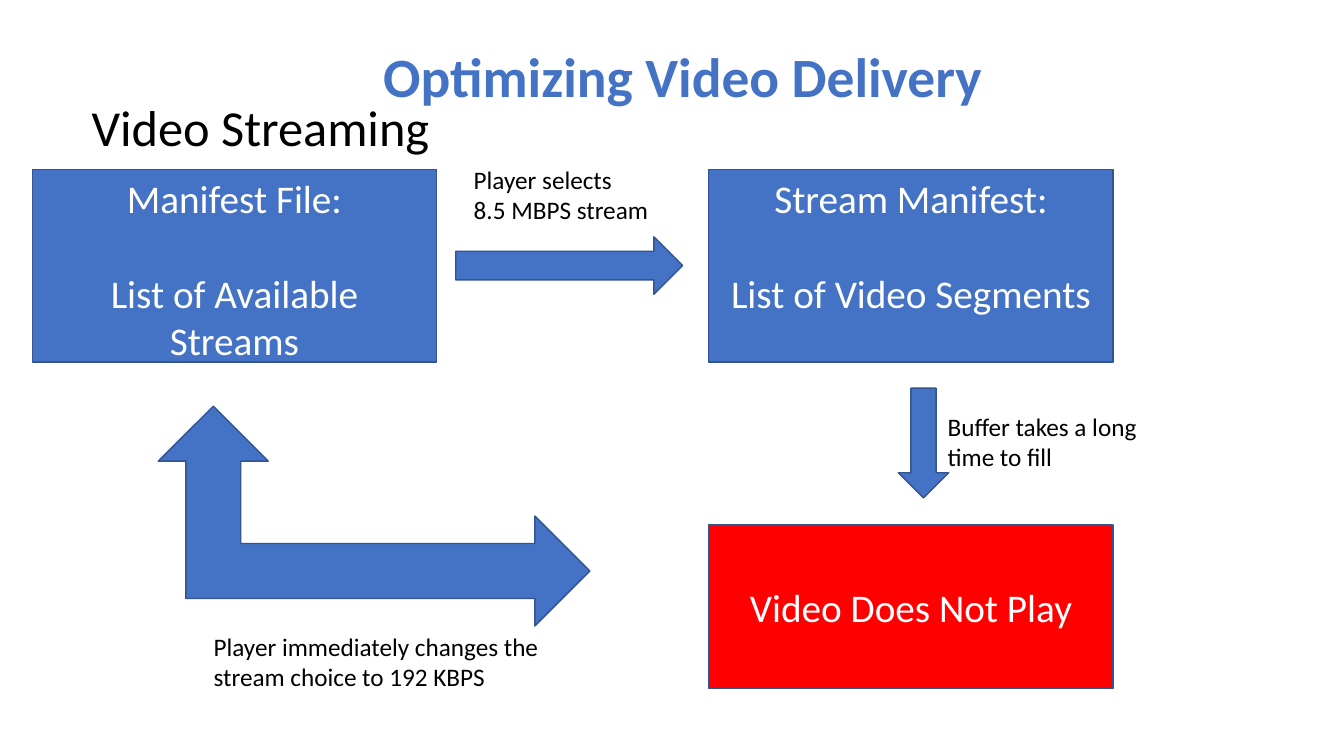
from pptx import Presentation
from pptx import util as u
from pptx.dml.color import RGBColor
from pptx.enum import shapes, text

COLORS = {"blue": "4472C4", "edge": "325491", "red": "FF0000",
          "white": "FFFFFF", "black": "000000"}
FONT = "Calibri"
SHAPE = shapes.MSO_SHAPE


def rgb(name):
    return RGBColor.from_string(COLORS[name])


def inches(box):
    return [u.Inches(v) for v in box]


def style_runs(tf, size, color, bold=False):
    for p in tf.paragraphs:
        for r in p.runs:
            r.font.name = FONT
            r.font.size = u.Pt(size)
            r.font.bold = bold
            r.font.color.rgb = rgb(color)


def add_title(s, box, words):
    title = s.shapes.title
    title.left, title.top, title.width, title.height = inches(box)
    tf = title.text_frame
    tf.text = words
    tf.auto_size = text.MSO_AUTO_SIZE.NONE
    tf.vertical_anchor = text.MSO_ANCHOR.MIDDLE
    tf.paragraphs[0].line_spacing = 0.9
    style_runs(tf, 39.6, "blue", bold=True)


def add_label(s, box, words, size=18, wrap=True):
    tf = s.shapes.add_textbox(*inches(box)).text_frame
    tf.text = words
    tf.word_wrap = wrap
    tf.auto_size = text.MSO_AUTO_SIZE.SHAPE_TO_FIT_TEXT
    style_runs(tf, size, "black")


def add_block(s, kind, box, fill="blue", rotation=0):
    sp = s.shapes.add_shape(kind, *inches(box))
    sp.shadow.inherit = False
    sp.fill.solid()
    sp.fill.fore_color.rgb = rgb(fill)
    sp.line.color.rgb = rgb("edge")
    sp.line.width = u.Pt(1)
    sp.rotation = rotation
    return sp


def add_stage(s, box, words, fill="blue", anchor=text.MSO_ANCHOR.TOP):
    """Draw a process box; later paragraphs sit one line below the first."""
    tf = add_block(s, SHAPE.RECTANGLE, box, fill).text_frame
    tf.text = words
    tf.word_wrap = True
    tf.vertical_anchor = anchor
    for i, p in enumerate(tf.paragraphs):
        p.alignment = text.PP_ALIGN.CENTER
        if i:
            p.space_before = u.Pt(34)
    style_runs(tf, 28, "white")


def add_flow(s, box):
    """Lay out the streaming steps clockwise from the manifest file."""
    x, y, w, h = box
    stage_w, stage_h, result_h = 4.01, 1.91, 1.62
    right = x + w - stage_w
    result_y = y + h - result_h

    add_stage(s, (x, y, stage_w, stage_h),
              "Manifest File:\nList of Available Streams")
    add_block(s, SHAPE.RIGHT_ARROW, (x + 4.2, y + 0.67, 2.25, 0.57))
    add_label(s, (x + 4.28, y - 0.1, 1.95, 0.71),
              "Player selects\n8.5 MBPS stream", wrap=False)

    add_stage(s, (right, y, stage_w, stage_h),
              "Stream Manifest:\nList of Video Segments")
    add_block(s, SHAPE.DOWN_ARROW, (right + 1.88, y + 2.17, 0.5, 1.09))
    add_label(s, (right + 2.27, y + 2.35, 2.25, 0.71),
              "Buffer takes a long time to fill")

    add_stage(s, (right, result_y, stage_w, result_h), "Video Does Not Play",
              "red", text.MSO_ANCHOR.MIDDLE)
    add_block(s, SHAPE.LEFT_UP_ARROW, (x + 2.3, y + 1.3, 2.18, 4.28),
              rotation=90)
    add_label(s, (x + 1.7, result_y + 1, 3.52, 0.71),
              "Player immediately changes the\nstream choice to 192 KBPS",
              wrap=False)


def main():
    prs = Presentation()
    prs.slide_width, prs.slide_height = u.Inches(13.33), u.Inches(7.5)
    s = prs.slides.add_slide(prs.slide_layouts[5])
    add_title(s, (0.64, 0.6, 12.26, 0.37), "Optimizing Video Delivery")
    add_label(s, (0.81, 0.9, 10.99, 0.71), "Video Streaming", size=36)
    add_flow(s, (0.32, 1.68, 10.72, 5.15))
    prs.save("out.pptx")


if __name__ == "__main__":
    main()
